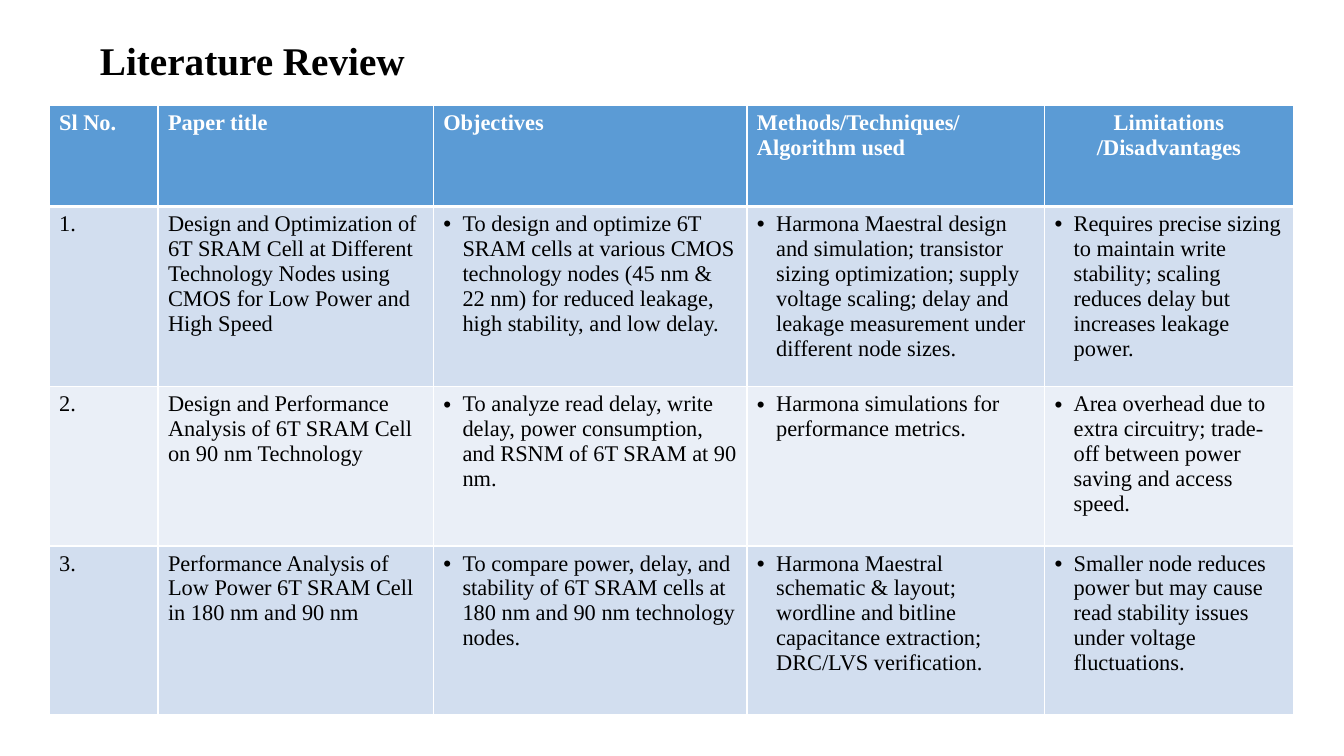
from dataclasses import dataclass

from lxml.etree import SubElement
from pptx import Presentation
from pptx.dml.color import RGBColor
from pptx.enum.text import MSO_ANCHOR, PP_ALIGN
from pptx.oxml.ns import qn
from pptx.util import Inches, Pt


@dataclass(frozen=True)
class Theme:
    font: str = "Times New Roman"
    title_size: int = 28
    body_size: int = 16
    ink: str = "000000"
    paper: str = "FFFFFF"
    header: str = "5B9BD5"
    bands: tuple = ("D2DEEF", "EAEFF7")
    thin_rule: int = 1
    thick_rule: int = 3
    bullet_indent: float = 0.19


THEME = Theme()
SLIDE_WIDTH, SLIDE_HEIGHT = Inches(13.33), Inches(7.5)
COLUMN_WIDTHS = (1.08, 2.73, 3.11, 2.95, 2.47)
ROW_HEIGHTS = (1, 1.79, 1.58, 1.67)
FIRST_BULLET_COLUMN = 2

HEADINGS = (
    "Sl No.",
    "Paper title",
    "Objectives",
    "Methods/Techniques/Algorithm used",
    "Limitations /Disadvantages",
)
PAPERS = (
    (
        "1.",
        "Design and Optimization of 6T SRAM Cell at Different Technology Nodes using CMOS for Low Power and High Speed",
        "To design and optimize 6T SRAM cells at various CMOS technology nodes (45 nm & 22 nm) for reduced leakage, high stability, and low delay.",
        "Harmona Maestral design and simulation; transistor sizing optimization; supply voltage scaling; delay and leakage measurement under different node sizes.",
        "Requires precise sizing to maintain write stability; scaling reduces delay but increases leakage power.",
    ),
    (
        "2.",
        "Design and Performance Analysis of 6T SRAM Cell on 90 nm Technology",
        "To analyze read delay, write delay, power consumption, and RSNM of 6T SRAM at 90 nm.",
        "Harmona simulations for performance metrics.",
        "Area overhead due to extra circuitry; trade-off between power saving and access speed.",
    ),
    (
        "3.",
        "Performance Analysis of Low Power 6T SRAM Cell in 180 nm and 90 nm",
        "To compare power, delay, and stability of 6T SRAM cells at 180 nm and 90 nm technology nodes.",
        "Harmona Maestral schematic & layout; wordline and bitline capacitance extraction; DRC/LVS verification.",
        "Smaller node reduces power but may cause read stability issues under voltage fluctuations.",
    ),
)


def share_box(left, top, width, height):
    return (
        round(SLIDE_WIDTH * left),
        round(SLIDE_HEIGHT * top),
        round(SLIDE_WIDTH * width),
        round(SLIDE_HEIGHT * height),
    )


def write_text(frame, text, size=THEME.body_size, color=THEME.ink, bold=False,
               align=PP_ALIGN.LEFT, bullet=False):
    frame.word_wrap = True
    paragraph = frame.paragraphs[0]
    paragraph.alignment = align
    run = paragraph.add_run()
    run.text = text
    run.font.name = THEME.font
    run.font.size = Pt(size)
    run.font.bold = bold
    run.font.color.rgb = RGBColor.from_string(color)
    if bullet:
        properties = paragraph._p.get_or_add_pPr()
        indent = Inches(THEME.bullet_indent)
        properties.set("marL", str(indent))
        properties.set("indent", str(-indent))
        SubElement(properties, qn("a:buFont"), typeface="Arial")
        SubElement(properties, qn("a:buChar"), char="•")


def style_cell(cell, fill, top_rule, bottom_rule):
    properties = cell._tc.get_or_add_tcPr()
    rules = {"lnL": THEME.thin_rule, "lnR": THEME.thin_rule,
             "lnT": top_rule, "lnB": bottom_rule}
    for side, width in rules.items():
        line = SubElement(properties, qn(f"a:{side}"), w=str(Pt(width)))
        solid = SubElement(line, qn("a:solidFill"))
        SubElement(solid, qn("a:srgbClr"), val=THEME.paper)
    cell.fill.solid()
    cell.fill.fore_color.rgb = RGBColor.from_string(fill)


def add_title(slide, box, text):
    frame = slide.shapes.add_textbox(*box).text_frame
    frame.vertical_anchor = MSO_ANCHOR.BOTTOM
    write_text(frame, text, size=THEME.title_size, bold=True)


def add_review_table(slide, box, headings, papers):
    width, height = box[2:]
    table = slide.shapes.add_table(len(papers) + 1, len(headings), *box).table
    for column, weight in zip(table.columns, COLUMN_WIDTHS):
        column.width = round(width * weight / sum(COLUMN_WIDTHS))
    for row, weight in zip(table.rows, ROW_HEIGHTS):
        row.height = round(height * weight / sum(ROW_HEIGHTS))

    for row_index, texts in enumerate((headings, *papers)):
        is_header = row_index == 0
        fill = THEME.header if is_header else THEME.bands[(row_index - 1) % 2]
        top_rule = THEME.thick_rule if row_index == 1 else THEME.thin_rule
        bottom_rule = THEME.thick_rule if is_header else THEME.thin_rule
        for column_index, text in enumerate(texts):
            cell = table.cell(row_index, column_index)
            style_cell(cell, fill, top_rule, bottom_rule)
            is_last = column_index == len(headings) - 1
            write_text(
                cell.text_frame,
                text,
                color=THEME.paper if is_header else THEME.ink,
                bold=is_header,
                align=PP_ALIGN.CENTER if is_header and is_last else PP_ALIGN.LEFT,
                bullet=not is_header and column_index >= FIRST_BULLET_COLUMN,
            )


def main():
    presentation = Presentation()
    presentation.slide_width = SLIDE_WIDTH
    presentation.slide_height = SLIDE_HEIGHT
    slide = presentation.slides.add_slide(presentation.slide_layouts[6])
    add_title(slide, share_box(0.067, 0.037, 0.39, 0.08), "Literature Review")
    add_review_table(slide, share_box(0.0365, 0.14, 0.926, 0.805), HEADINGS, PAPERS)
    presentation.save("out.pptx")


if __name__ == "__main__":
    main()
